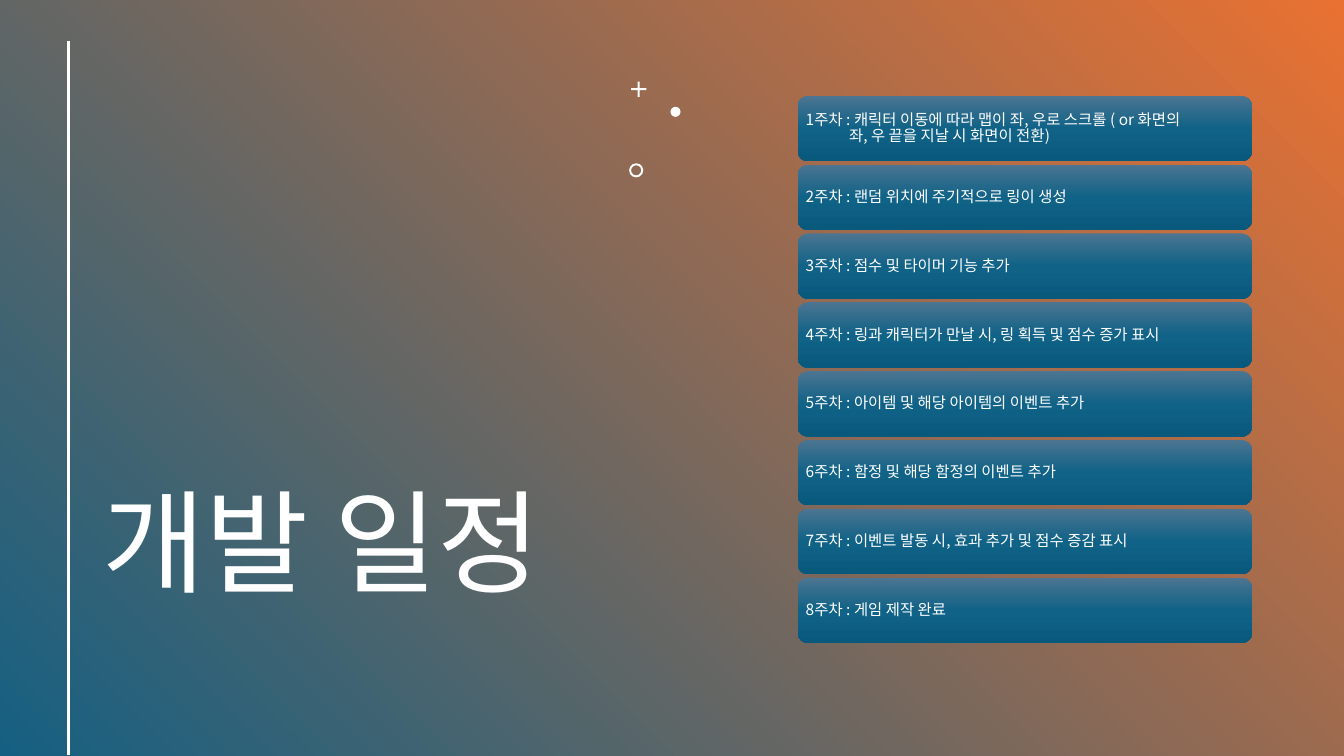
from dataclasses import dataclass

from lxml import etree
from pptx import Presentation
from pptx.dml.color import RGBColor
from pptx.enum.shapes import MSO_CONNECTOR, MSO_SHAPE
from pptx.enum.text import MSO_ANCHOR, MSO_AUTO_SIZE, PP_ALIGN
from pptx.oxml.ns import qn
from pptx.shapes.autoshape import Shape
from pptx.slide import Slide
from pptx.text.text import _Paragraph
from pptx.util import Inches, Pt

STRAIGHT = MSO_CONNECTOR.STRAIGHT
RECTANGLE = MSO_SHAPE.RECTANGLE
ROUNDED = MSO_SHAPE.ROUNDED_RECTANGLE
OVAL = MSO_SHAPE.OVAL
DONUT = MSO_SHAPE.DONUT
LEFT = PP_ALIGN.LEFT
MIDDLE = MSO_ANCHOR.MIDDLE
BOTTOM = MSO_ANCHOR.BOTTOM
NO_AUTOFIT = MSO_AUTO_SIZE.NONE

FONT = "Noto Sans CJK KR"
WHITE = RGBColor(0xFF, 0xFF, 0xFF)
BLUE = RGBColor(0x15, 0x60, 0x82)
ORANGE = RGBColor(0xE9, 0x71, 0x32)
CARD_TOP = RGBColor(0x4C, 0x75, 0x91)
CARD_MIDDLE = RGBColor(0x10, 0x62, 0x87)
CARD_BOTTOM = RGBColor(0x09, 0x59, 0x7D)

SLIDE_WIDTH, SLIDE_HEIGHT = 13.33, 7.5
CARD_LEFT, CARD_WIDTH, CARD_HEIGHT = 7.91, 4.51, 0.65
FIRST_CARD_TOP, LAST_CARD_TOP = 0.95, 5.73
HANGING_INDENT = 0.43


@dataclass(frozen=True)
class Week:
    lines: tuple[str, ...]


WEEKS = [
    Week(("1주차 : 캐릭터 이동에 따라 맵이 좌, 우로 스크롤 ( or 화면의", "좌, 우 끝을 지날 시 화면이 전환)")),
    Week(("2주차 : 랜덤 위치에 주기적으로 링이 생성",)),
    Week(("3주차 : 점수 및 타이머 기능 추가",)),
    Week(("4주차 : 링과 캐릭터가 만날 시, 링 획득 및 점수 증가 표시",)),
    Week(("5주차 : 아이템 및 해당 아이템의 이벤트 추가",)),
    Week(("6주차 : 함정 및 해당 함정의 이벤트 추가",)),
    Week(("7주차 : 이벤트 발동 시, 효과 추가 및 점수 증감 표시",)),
    Week(("8주차 : 게임 제작 완료",)),
]


def fill_gradient(shape: Shape, colors: list[RGBColor], angle: int) -> None:
    """Fill with evenly spaced colours; the angle runs counter-clockwise."""
    shape.fill.gradient()
    shape.fill.gradient_angle = angle
    stops = shape._element.spPr.find(qn("a:gradFill")).find(qn("a:gsLst"))
    for stop in list(stops):
        stops.remove(stop)
    for index, color in enumerate(colors):
        position = 100000 * index // (len(colors) - 1)
        stop = etree.SubElement(stops, qn("a:gs"), pos=str(position))
        etree.SubElement(stop, qn("a:srgbClr"), val=str(color))


def make_plain(shape: Shape) -> None:
    shape.shadow.inherit = False
    shape.line.fill.background()


def add_plain_shape(slide: Slide, kind: MSO_SHAPE, left: float, top: float,
                    width: float, height: float) -> Shape:
    shape = slide.shapes.add_shape(
        kind, Inches(left), Inches(top), Inches(width), Inches(height))
    make_plain(shape)
    return shape


def fill_white(shape: Shape) -> None:
    shape.fill.solid()
    shape.fill.fore_color.rgb = WHITE


def add_text(paragraph: _Paragraph, text: str, size: int) -> None:
    run = paragraph.add_run()
    run.text = text
    run.font.size = Pt(size)
    run.font.color.rgb = WHITE
    run.font.name = FONT
    etree.SubElement(run.font._element, qn("a:ea"), typeface=FONT)


def add_title(slide: Slide) -> None:
    title = slide.shapes.title
    title.left, title.top = Inches(0.92), Inches(0.42)
    title.width, title.height = Inches(5.75), Inches(5.67)
    frame = title.text_frame
    frame.word_wrap = True
    frame.auto_size = NO_AUTOFIT
    frame.vertical_anchor = BOTTOM
    paragraph = frame.paragraphs[0]
    paragraph.alignment = LEFT
    paragraph.line_spacing = 0.9
    paragraph.space_after = Pt(6)
    add_text(paragraph, "개발 일정", 80)


def add_background(slide: Slide) -> None:
    background = add_plain_shape(slide, RECTANGLE, 0, 0, SLIDE_WIDTH, SLIDE_HEIGHT)
    fill_gradient(background, [BLUE, ORANGE], 45)
    slide.shapes.title._element.addprevious(background._element)


def add_side_line(slide: Slide) -> None:
    line = slide.shapes.add_connector(
        STRAIGHT, Inches(0.68), Inches(0.41), Inches(0.68), Inches(7.49))
    line.line.color.rgb = WHITE
    line.line.width = Pt(2)
    etree.SubElement(line._element.spPr, qn("a:effectLst"))


def add_plus(slide: Slide, left: float, top: float, size: float, bar: float) -> None:
    near, far = (size - bar) / 2, (size + bar) / 2
    outline = [(near, 0), (far, 0), (far, near), (size, near), (size, far),
               (far, far), (far, size), (near, size), (near, far), (0, far),
               (0, near), (near, near)]
    points = [(Inches(left + x), Inches(top + y)) for x, y in outline]
    builder = slide.shapes.build_freeform(*points[0])
    builder.add_line_segments(points[1:], close=True)
    plus = builder.convert_to_shape()
    make_plain(plus)
    fill_white(plus)


def add_ornaments(slide: Slide) -> None:
    add_plus(slide, 6.26, 0.81, 0.15, 0.02)
    fill_white(add_plain_shape(slide, OVAL, 6.65, 1.06, 0.1, 0.1))
    ring = add_plain_shape(slide, DONUT, 6.24, 1.62, 0.14, 0.14)
    ring.adjustments[0] = 0.14
    fill_white(ring)


def add_week_card(slide: Slide, week: Week, top: float) -> None:
    card = add_plain_shape(slide, ROUNDED, CARD_LEFT, top, CARD_WIDTH, CARD_HEIGHT)
    fill_gradient(card, [CARD_TOP, CARD_MIDDLE, CARD_BOTTOM], 270)
    frame = card.text_frame
    frame.word_wrap = True
    frame.vertical_anchor = MIDDLE
    frame.margin_left = frame.margin_right = Inches(0.05)
    frame.margin_top = frame.margin_bottom = Inches(0.05)
    paragraph = frame.paragraphs[0]
    paragraph.alignment = LEFT
    paragraph.line_spacing = 0.9
    if len(week.lines) > 1:
        properties = paragraph._p.get_or_add_pPr()
        properties.set("marL", str(Inches(HANGING_INDENT)))
        properties.set("indent", str(-Inches(HANGING_INDENT)))
    for index, line in enumerate(week.lines):
        if index:
            paragraph.add_line_break()
        add_text(paragraph, line, 11)


def main() -> None:
    presentation = Presentation()
    presentation.slide_width = Inches(SLIDE_WIDTH)
    presentation.slide_height = Inches(SLIDE_HEIGHT)
    slide = presentation.slides.add_slide(presentation.slide_layouts[5])
    add_background(slide)
    add_title(slide)
    add_side_line(slide)
    add_ornaments(slide)
    pitch = (LAST_CARD_TOP - FIRST_CARD_TOP) / (len(WEEKS) - 1)
    for index, week in enumerate(WEEKS):
        add_week_card(slide, week, FIRST_CARD_TOP + index * pitch)
    presentation.save("out.pptx")


if __name__ == "__main__":
    main()
